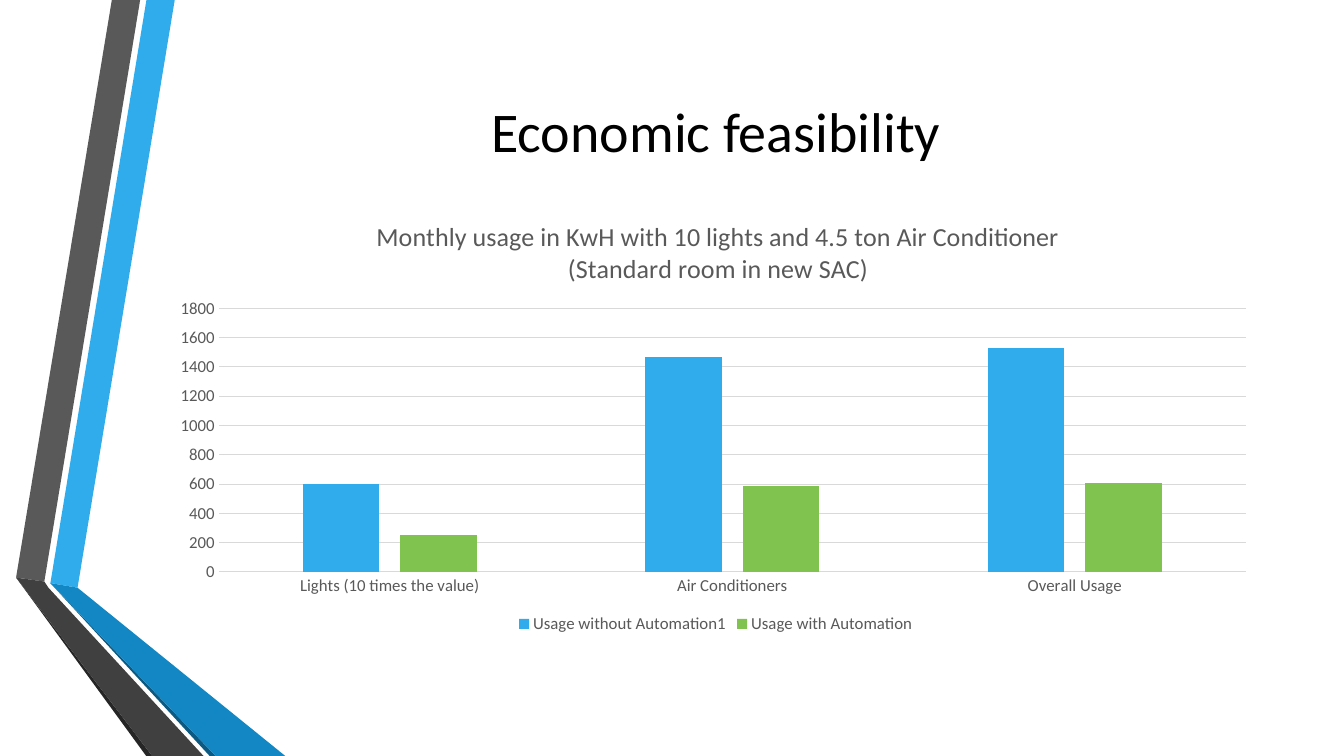
"""Build the economic feasibility slide with its ribbon and usage chart."""
from lxml.etree import SubElement
from pptx import Presentation
from pptx.chart.data import CategoryChartData
from pptx.dml.color import RGBColor
from pptx.enum.chart import XL_CHART_TYPE, XL_LEGEND_POSITION, XL_TICK_MARK
from pptx.enum.text import MSO_ANCHOR, PP_ALIGN
from pptx.oxml.ns import qn
from pptx.util import Pt

SLIDE_WIDTH, SLIDE_HEIGHT = 960, 540
CONTENT_LEFT, CONTENT_WIDTH = 116.7, 789.1
TITLE_TOP, TITLE_HEIGHT = 54, 78.5
CHART_TOP, CHART_HEIGHT = 141.8, 313.9

TITLE = "Economic feasibility"
CHART_TITLE = [
    "Monthly usage in KwH with 10 lights and 4.5 ton Air Conditioner",
    "(Standard room in new SAC)",
]
CATEGORIES = ["Lights (10 times the value)", "Air Conditioners", "Overall Usage"]
SERIES = [
    ("Usage without Automation1", (600, 1470, 1530), "30ACEC"),
    ("Usage with Automation", (250, 590, 610), "80C34F"),
]
TEXT_GREY, LINE_GREY = "595959", "D9D9D9"
TITLE_FONT = {"name": "Calibri", "size": Pt(40), "bold": False}
CHART_TITLE_FONT = {"name": "Calibri", "size": Pt(18.6), "bold": False}
LABEL_FONT = {"name": "Calibri", "size": Pt(12), "bold": False}

GREY_BEND, GREY_INNER = (11.5, 412.6), (31.7, 415.4)
BLUE_BEND, BLUE_INNER = (36, 416.5), (55.4, 419.8)
GREY_FOOT, BLUE_FOOT = (108.7, SLIDE_HEIGHT), (154.1, SLIDE_HEIGHT)
RIBBONS = [
    ("30ACEC", [BLUE_BEND, BLUE_INNER, (124.8, 0), (104.6, 0)]),
    ("595959", [GREY_BEND, GREY_INNER, (100.1, 0), (79.9, 0)]),
    ("262626", [GREY_BEND, (104.4, SLIDE_HEIGHT), GREY_FOOT]),
    ("0C5A82", [BLUE_BEND, (149.8, SLIDE_HEIGHT), BLUE_FOOT]),
    ("1287C3", [BLUE_BEND, BLUE_FOOT, (203.8, SLIDE_HEIGHT), BLUE_INNER]),
    ("404040", [GREY_BEND, GREY_FOOT, (145.4, SLIDE_HEIGHT), (34.6, 419.8), GREY_INNER]),
]
PLOT_LAYOUT = {"layoutTarget": "inner", "xMode": "edge", "yMode": "edge",
               "x": 0.05, "y": 0.25, "w": 0.93, "h": 0.6}
TITLE_LAYOUT = {"xMode": "edge", "yMode": "edge", "x": 0.19, "y": 0.04}


def color(value):
    return RGBColor.from_string(value)


def format_font(font, values, hue):
    for name, value in values.items():
        setattr(font, name, value)
    font.color.rgb = color(hue)


def format_line(line, hue):
    line.color.rgb = color(hue)
    line.width = Pt(0.75)


def set_layout(parent, values):
    layout = parent.find(qn("c:layout"))
    if layout is None:
        layout = SubElement(parent, qn("c:layout"))
        parent.remove(layout)
        text = parent.find(qn("c:tx"))
        parent.insert(0 if text is None else parent.index(text) + 1, layout)
    manual = SubElement(layout, qn("c:manualLayout"))
    for name, value in values.items():
        SubElement(manual, qn(f"c:{name}")).set("val", str(value))


def add_ribbon(page, hue, points):
    corners = [(Pt(x), Pt(y)) for x, y in points]
    builder = page.shapes.build_freeform(*corners[0], scale=1.0)
    builder.add_line_segments(corners[1:], close=True)
    ribbon = builder.convert_to_shape()
    ribbon.shadow.inherit = False
    ribbon.fill.solid()
    ribbon.fill.fore_color.rgb = color(hue)
    ribbon.line.fill.background()


def add_title(page):
    title = page.shapes.title
    title.left, title.top = Pt(CONTENT_LEFT), Pt(TITLE_TOP)
    title.width, title.height = Pt(CONTENT_WIDTH), Pt(TITLE_HEIGHT)
    title.text_frame.vertical_anchor = MSO_ANCHOR.MIDDLE
    para = title.text_frame.paragraphs[0]
    para.alignment = PP_ALIGN.CENTER
    span = para.add_run()
    span.text = TITLE
    format_font(span.font, TITLE_FONT, "000000")


def add_usage_chart(page):
    data = CategoryChartData()
    data.categories = CATEGORIES
    for name, values, _ in SERIES:
        data.add_series(name, values)
    chart = page.shapes.add_chart(
        XL_CHART_TYPE.COLUMN_CLUSTERED, Pt(CONTENT_LEFT), Pt(CHART_TOP),
        Pt(CONTENT_WIDTH), Pt(CHART_HEIGHT), data).chart
    format_font(chart.font, LABEL_FONT, TEXT_GREY)

    chart.has_title = True
    frame = chart.chart_title.text_frame
    for index, line in enumerate(CHART_TITLE):
        para = frame.add_paragraph() if index else frame.paragraphs[0]
        para.alignment = PP_ALIGN.CENTER
        span = para.add_run()
        span.text = line
        format_font(span.font, CHART_TITLE_FONT, TEXT_GREY)
    chart.chart_title.include_in_layout = False
    chart_title = chart.element.find(".//" + qn("c:title"))
    set_layout(chart_title, TITLE_LAYOUT)
    set_layout(chart.element.find(".//" + qn("c:plotArea")), PLOT_LAYOUT)

    chart.has_legend = True
    chart.legend.position = XL_LEGEND_POSITION.BOTTOM
    chart.legend.include_in_layout = False
    format_font(chart.legend.font, LABEL_FONT, TEXT_GREY)

    for axis in (chart.category_axis, chart.value_axis):
        axis.major_tick_mark = axis.minor_tick_mark = XL_TICK_MARK.NONE
        format_font(axis.tick_labels.font, LABEL_FONT, TEXT_GREY)
    format_line(chart.category_axis.format.line, LINE_GREY)
    scale = chart.value_axis
    scale.minimum_scale, scale.maximum_scale, scale.major_unit = 0, 1800, 200
    scale.format.line.fill.background()
    format_line(scale.major_gridlines.format.line, LINE_GREY)

    plot = chart.plots[0]
    plot.vary_by_categories = False
    plot.gap_width, plot.overlap = 219, -27
    for series, (_, _, hue) in zip(plot.series, SERIES):
        series.format.fill.solid()
        series.format.fill.fore_color.rgb = color(hue)


def main():
    deck = Presentation()
    deck.slide_width, deck.slide_height = Pt(SLIDE_WIDTH), Pt(SLIDE_HEIGHT)
    page = deck.slides.add_slide(deck.slide_layouts[5])
    for hue, points in RIBBONS:
        add_ribbon(page, hue, points)
    add_title(page)
    add_usage_chart(page)
    deck.save("out.pptx")


if __name__ == "__main__":
    main()
